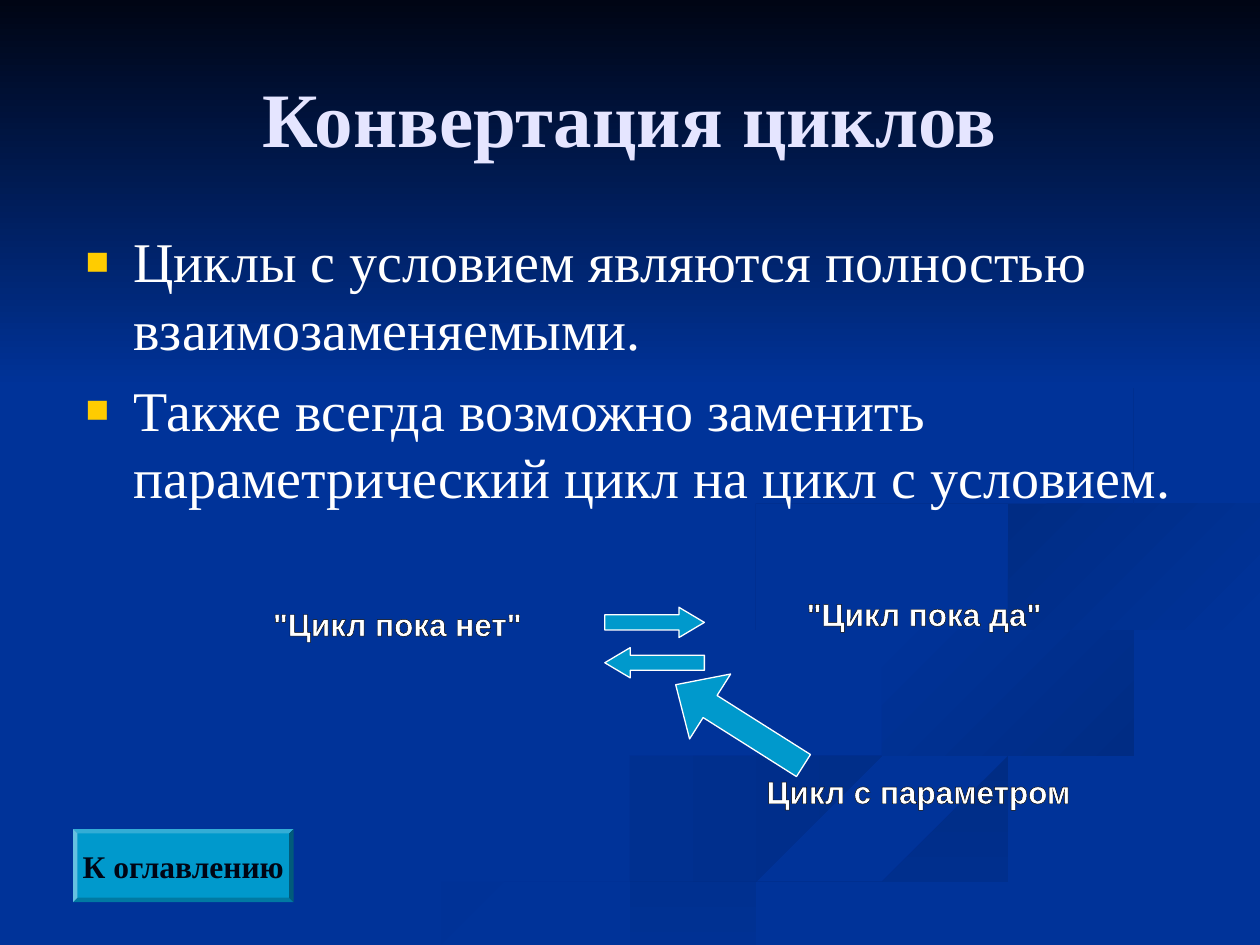
from lxml import etree
from pptx import Presentation
from pptx.dml.color import RGBColor
from pptx.enum import shapes, text
from pptx.oxml.ns import qn
from pptx.util import Inches, Pt

BLUE = RGBColor(0x00, 0x33, 0x99)
DEEP_BLUE = RGBColor(0x00, 0x2C, 0x84)
NIGHT = RGBColor(0x00, 0x05, 0x14)
CYAN = RGBColor(0x00, 0x99, 0xCC)
WHITE = RGBColor(0xFF, 0xFF, 0xFF)
LAVENDER = RGBColor(0xE5, 0xE5, 0xFF)
GOLD = RGBColor(0xFF, 0xCC, 0x00)
SERIF, SANS = "Times New Roman", "Arial"
WIDTH, HEIGHT = 10, 7.5

# Each wave: knots of its outline in inches, two gradient colours, clockwise angle
WAVES = [
    ([(5.75, 4.59), (5.83, 4.85), (6.97, 5.25), (7.86, 5.66), (7.14, 6.05), (4.58, 6.74),
      (3, 7.49), (3.61, 7.49), (5.32, 6.74), (7.56, 6.14), (8, 5.81), (7.15, 5.28),
      (6.02, 4.9)], BLUE, DEEP_BLUE, 0),
    ([(7.24, 4.64), (7.55, 5.05), (8.8, 5.49), (9.18, 5.81), (8.94, 6.05), (9.43, 5.7),
      (8.7, 5.3), (7.58, 4.98)], BLUE, DEEP_BLUE, 45),
    ([(5.03, 7.49), (5.71, 7.49), (7.52, 6.72), (9.98, 6.09), (9.98, 5.81), (7.64, 6.47),
      (6.3, 6.93)], DEEP_BLUE, BLUE, 90),
    ([(7.81, 4.6), (8.26, 4.96), (8.05, 4.72), (8.59, 4.43), (9.98, 4.2), (9.98, 4.02),
      (8.65, 4.24)], DEEP_BLUE, BLUE, 45),
    ([(7.62, 2.33), (8.62, 2.92), (8.89, 3.35), (8.42, 3.78), (6.25, 4.26), (5.77, 4.62),
      (6.22, 5), (5.96, 4.61), (6.83, 4.3), (8.55, 3.91), (8.94, 3.44), (8.54, 2.83)],
     DEEP_BLUE, BLUE, 45),
]


def box_lengths(box):
    return [Inches(value) for value in box]


def place(shape, box):
    shape.left, shape.top, shape.width, shape.height = box_lengths(box)


def format_font(font, **values):
    color = values.pop("color")
    for name, value in values.items():
        setattr(font, name, value)
    font.color.rgb = color


def fill_gradient(shape, first, last, clockwise):
    shape.shadow.inherit = False
    shape.line.fill.background()
    shape.fill.gradient()
    shape.fill.gradient_angle = (360 - clockwise) % 360
    for stop, color in zip(shape.fill.gradient_stops, (first, last)):
        stop.color.rgb = color


def smooth_outline(knots, steps=6):
    """Closed Catmull-Rom curve through the knots, kept inside the slide."""
    outline = []
    for index in range(len(knots)):
        nearby = [knots[(index + offset) % len(knots)] for offset in (-1, 0, 1, 2)]
        for step in range(steps):
            t = step / steps
            x, y = [b + t / 2 * (c - a + t * (2 * a - 5 * b + 4 * c - d
                                              + t * (3 * (b - c) + d - a)))
                    for a, b, c, d in zip(*nearby)]
            outline.append((min(x, WIDTH), min(y, HEIGHT)))
    return outline


def add_backdrop(slide, sky_box):
    slide.background.fill.solid()
    slide.background.fill.fore_color.rgb = BLUE
    for knots, first, last, clockwise in WAVES:
        outline = smooth_outline(knots)
        builder = slide.shapes.build_freeform(*outline[0], scale=Inches(1))
        builder.add_line_segments(outline[1:], close=True)
        fill_gradient(builder.convert_to_shape(), first, last, clockwise)
    sky = slide.shapes.add_shape(shapes.MSO_SHAPE.RECTANGLE, *box_lengths(sky_box))
    fill_gradient(sky, NIGHT, BLUE, 90)


def fill_title(slide, box, wording):
    title = slide.shapes.title
    place(title, box)
    title.text_frame.text = wording
    title.text_frame.auto_size = text.MSO_AUTO_SIZE.NONE
    title.text_frame.vertical_anchor = text.MSO_ANCHOR.MIDDLE
    paragraph = title.text_frame.paragraphs[0]
    paragraph.alignment = text.PP_ALIGN.CENTER
    format_font(paragraph.font, name=SERIF, size=Pt(44), bold=True, color=LAVENDER)


def add_square_bullet(paragraph):
    properties = paragraph._p.get_or_add_pPr()
    properties.set("marL", str(Inches(0.38)))
    properties.set("indent", str(-Inches(0.38)))
    color = etree.SubElement(properties, qn("a:buClr"))
    etree.SubElement(color, qn("a:srgbClr"), val=str(GOLD))
    etree.SubElement(properties, qn("a:buSzPct"), val="70000")
    etree.SubElement(properties, qn("a:buChar"), char="■")


def fill_body(slide, box, statements):
    body = slide.placeholders[1]
    place(body, box)
    frame = body.text_frame
    frame.text = "\n".join(statements)
    frame.auto_size = text.MSO_AUTO_SIZE.NONE
    for index, paragraph in enumerate(frame.paragraphs):
        add_square_bullet(paragraph)
        paragraph.space_before = Pt(8 if index else 0)
        format_font(paragraph.font, name=SERIF, size=Pt(32), color=WHITE)


def add_loop_label(slide, box, wording):
    label = slide.shapes.add_textbox(*box_lengths(box))
    label.text_frame.word_wrap = True
    paragraph = label.text_frame.paragraphs[0]
    paragraph.alignment = text.PP_ALIGN.CENTER
    run = paragraph.add_run()
    run.text = wording
    format_font(run.font, name=SANS, size=Pt(18), bold=True, color=WHITE)
    outline = etree.Element(qn("a:ln"), w=str(Pt(0.75)))
    solid = etree.SubElement(outline, qn("a:solidFill"))
    etree.SubElement(solid, qn("a:srgbClr"), val="000000")
    run._r.get_or_add_rPr().insert(0, outline)


def add_cyan_shape(slide, kind, box, adjustments):
    shape = slide.shapes.add_shape(kind, *box_lengths(box))
    shape.shadow.inherit = False
    shape.fill.solid()
    shape.fill.fore_color.rgb = CYAN
    for index, value in enumerate(adjustments):
        shape.adjustments[index] = value
    return shape


def add_conversion_diagram(slide, left, top):
    """Three loop kinds and the block arrows that convert between them."""
    for x, y, width, wording in [(0, 0.08, 2.97, '"Цикл пока нет"'),
                                 (4.08, 0, 3.17, '"Цикл пока да"'),
                                 (3.58, 1.41, 4.08, "Цикл с параметром")]:
        add_loop_label(slide, (left + x, top + y, width, 0.75), wording)
    for x, y, width, height, rotation, adjustments in [
            (3.13, 0.15, 0.79, 0.24, 0, (0.5, 0.84)),
            (3.13, 0.47, 0.79, 0.24, 180, (0.5, 0.84)),
            (3.6, 0.78, 1.2, 0.61, 212.3, (0.34, 0.53))]:
        arrow = add_cyan_shape(slide, shapes.MSO_SHAPE.RIGHT_ARROW,
                               (left + x, top + y, width, height), adjustments)
        arrow.rotation = rotation
        arrow.line.color.rgb = WHITE
        arrow.line.width = Pt(0.75)


def add_contents_button(slide, box, wording):
    button = add_cyan_shape(slide, shapes.MSO_SHAPE.BEVEL, box, [0.06])
    button.line.fill.background()
    frame = button.text_frame
    frame.word_wrap = False
    frame.vertical_anchor = text.MSO_ANCHOR.MIDDLE
    frame.text = wording
    paragraph = frame.paragraphs[0]
    paragraph.alignment = text.PP_ALIGN.CENTER
    format_font(paragraph.font, name=SERIF, size=Pt(18), bold=True, color=NIGHT)


def main():
    presentation = Presentation()
    presentation.slide_width, presentation.slide_height = Inches(WIDTH), Inches(HEIGHT)
    slide = presentation.slides.add_slide(presentation.slide_layouts[1])
    placeholders = list(slide.placeholders)
    add_backdrop(slide, (0, 0, WIDTH, 3.08))
    for placeholder in placeholders:  # bring the text in front of the backdrop
        slide.shapes._spTree.append(placeholder._element)
    fill_title(slide, (0.5, 0.3, 9, 1.25), "Конвертация циклов")
    fill_body(slide, (0.58, 1.75, 9, 3.6), [
        "Циклы с условием являются полностью взаимозаменяемыми.",
        "Также всегда возможно заменить параметрический цикл на цикл с условием."])
    add_conversion_diagram(slide, 1.67, 4.67)
    add_contents_button(slide, (0.58, 6.58, 1.75, 0.58), "К оглавлению")
    presentation.save("out.pptx")


if __name__ == "__main__":
    main()
